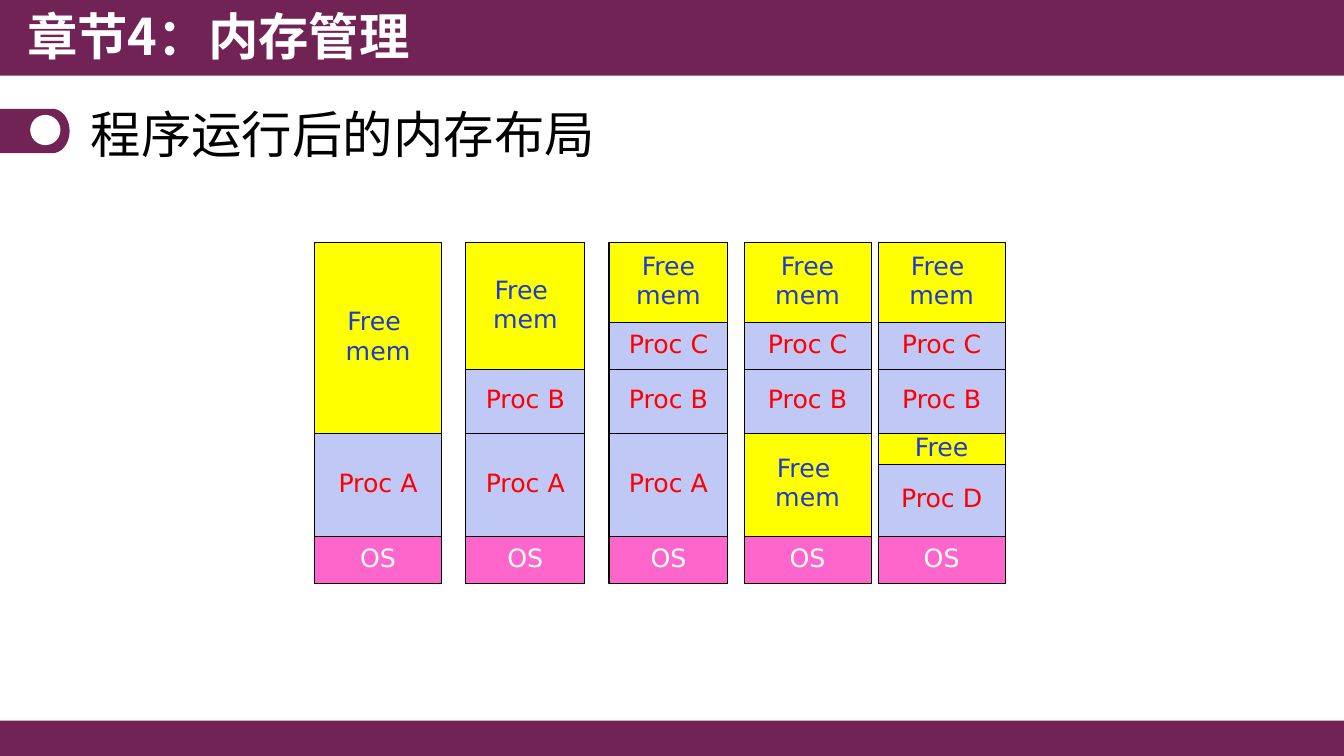
from dataclasses import dataclass
from math import cos, pi, sin

from lxml.etree import SubElement
from pptx import Presentation
from pptx.dml.color import RGBColor
from pptx.enum.shapes import MSO_SHAPE
from pptx.enum.text import MSO_ANCHOR, PP_ALIGN
from pptx.oxml.ns import qn
from pptx.util import Inches, Pt

COLORS = {
    "plum": "712355",
    "white": "FFFFFF",
    "black": "000000",
    "yellow": "FFFF00",
    "lavender": "C0C9F6",
    "pink": "FF66CC",
    "red": "FF0000",
    "blue": "1D3BCE",
}
LATIN_FONT = "DejaVu Sans"
CHINESE_FONT = "Noto Sans CJK SC"
STACK_TOP = 2.41


@dataclass(frozen=True)
class Kind:
    fill: str
    text: str


FREE = Kind("yellow", "blue")
PROCESS = Kind("lavender", "red")
SYSTEM = Kind("pink", "white")


@dataclass(frozen=True)
class Block:
    kind: Kind
    height: float
    lines: tuple[str, ...]


@dataclass(frozen=True)
class Stack:
    left: float
    width: float
    blocks: tuple[Block, ...]


def free_block(height: float, first_line: str = "Free ") -> Block:
    return Block(FREE, height, (first_line, "mem"))


PROC_A = Block(PROCESS, 1.02, ("Proc A",))
PROC_B = Block(PROCESS, 0.63, ("Proc B",))
PROC_C = Block(PROCESS, 0.47, ("Proc C",))
PROC_D = Block(PROCESS, 0.71, ("Proc D",))
SMALL_FREE = Block(FREE, 0.31, ("Free",))
OS_BLOCK = Block(SYSTEM, 0.47, ("OS",))

# Blocks run from the top of memory down.
STACKS = (
    Stack(3.12, 1.26, (free_block(1.89), PROC_A, OS_BLOCK)),
    Stack(4.62, 1.18, (free_block(1.26), PROC_B, PROC_A, OS_BLOCK)),
    Stack(6.04, 1.18, (free_block(0.79, "Free"), PROC_C, PROC_B, PROC_A, OS_BLOCK)),
    Stack(7.38, 1.26, (free_block(0.79, "Free"), PROC_C, PROC_B, free_block(1.02), OS_BLOCK)),
    Stack(8.71, 1.26, (free_block(0.79), PROC_C, PROC_B, SMALL_FREE, PROC_D, OS_BLOCK)),
)


def rgb(name: str) -> RGBColor:
    return RGBColor.from_string(COLORS[name])


def add_span(para, text: str, size: float, font: str, color: str, bold: bool = False) -> None:
    span = para.add_run()
    span.text = text
    span.font.size = Pt(size)
    span.font.name = font
    span.font.bold = bold
    span.font.color.rgb = rgb(color)
    SubElement(span.font._element, qn("a:ea"), typeface=font)


def paint(shape, fill: str) -> None:
    shape.shadow.inherit = False
    shape.fill.solid()
    shape.fill.fore_color.rgb = rgb(fill)
    shape.line.fill.background()


def add_plain(page, preset, left: float, top: float, width: float, height: float, fill: str):
    shape = page.shapes.add_shape(
        preset, Inches(left), Inches(top), Inches(width), Inches(height)
    )
    paint(shape, fill)
    return shape


def add_tab(page) -> None:
    """Draw the bullet tab at the left edge, with its rounded right end."""
    center_x, center_y, radius_x, radius_y = 0.52, 1.3, 0.17, 0.22
    steps = 24
    angles = [pi * step / steps - pi / 2 for step in range(steps + 1)]
    curve = [
        (Inches(center_x + radius_x * cos(angle)), Inches(center_y + radius_y * sin(angle)))
        for angle in angles
    ]
    builder = page.shapes.build_freeform(0, Inches(center_y - radius_y))
    builder.add_line_segments(curve + [(0, Inches(center_y + radius_y))], close=True)
    paint(builder.convert_to_shape(), "plum")
    add_plain(page, MSO_SHAPE.OVAL, 0.3, 1.14, 0.3, 0.3, "white")


def add_block(page, block: Block, left: float, top: float, width: float) -> None:
    box = add_plain(page, MSO_SHAPE.RECTANGLE, left, top, width, block.height, block.kind.fill)
    box.line.color.rgb = rgb("black")
    box.line.width = Pt(0.75)
    frame = box.text_frame
    frame.word_wrap = False
    frame.vertical_anchor = MSO_ANCHOR.MIDDLE
    for index, line in enumerate(block.lines):
        para = frame.add_paragraph() if index else frame.paragraphs[0]
        para.alignment = PP_ALIGN.CENTER
        para.line_spacing = 0.8
        para.space_before = Pt(3.6)
        add_span(para, line, 18, LATIN_FONT, block.kind.text)


def add_stack(page, stack: Stack) -> None:
    top = STACK_TOP
    for block in stack.blocks:
        add_block(page, block, stack.left, top, stack.width)
        top += block.height


def add_headings(page) -> None:
    chapter = page.shapes.add_textbox(Inches(0.17), 0, Inches(6.67), Inches(0.77))
    chapter.text_frame.word_wrap = True
    add_span(
        chapter.text_frame.paragraphs[0], "章节4：内存管理", 36, CHINESE_FONT, "white", bold=True
    )

    title = page.shapes.title
    title.left, title.top = Inches(0.8), Inches(0.95)
    title.width, title.height = Inches(11.53), Inches(0.75)
    title.text_frame.vertical_anchor = MSO_ANCHOR.MIDDLE
    para = title.text_frame.paragraphs[0]
    para.alignment = PP_ALIGN.LEFT
    add_span(para, "程序运行后的内存布局", 36, CHINESE_FONT, "black")


def main() -> None:
    deck = Presentation()
    deck.slide_width, deck.slide_height = Inches(13.33), Inches(7.5)
    page = deck.slides.add_slide(deck.slide_layouts[5])
    add_plain(page, MSO_SHAPE.RECTANGLE, 0, 7.15, 13.33, 0.35, "plum")
    add_plain(page, MSO_SHAPE.RECTANGLE, 0, 0, 13.33, 0.75, "plum")
    add_tab(page)
    for stack in STACKS:
        add_stack(page, stack)
    add_headings(page)
    deck.save("out.pptx")


if __name__ == "__main__":
    main()
